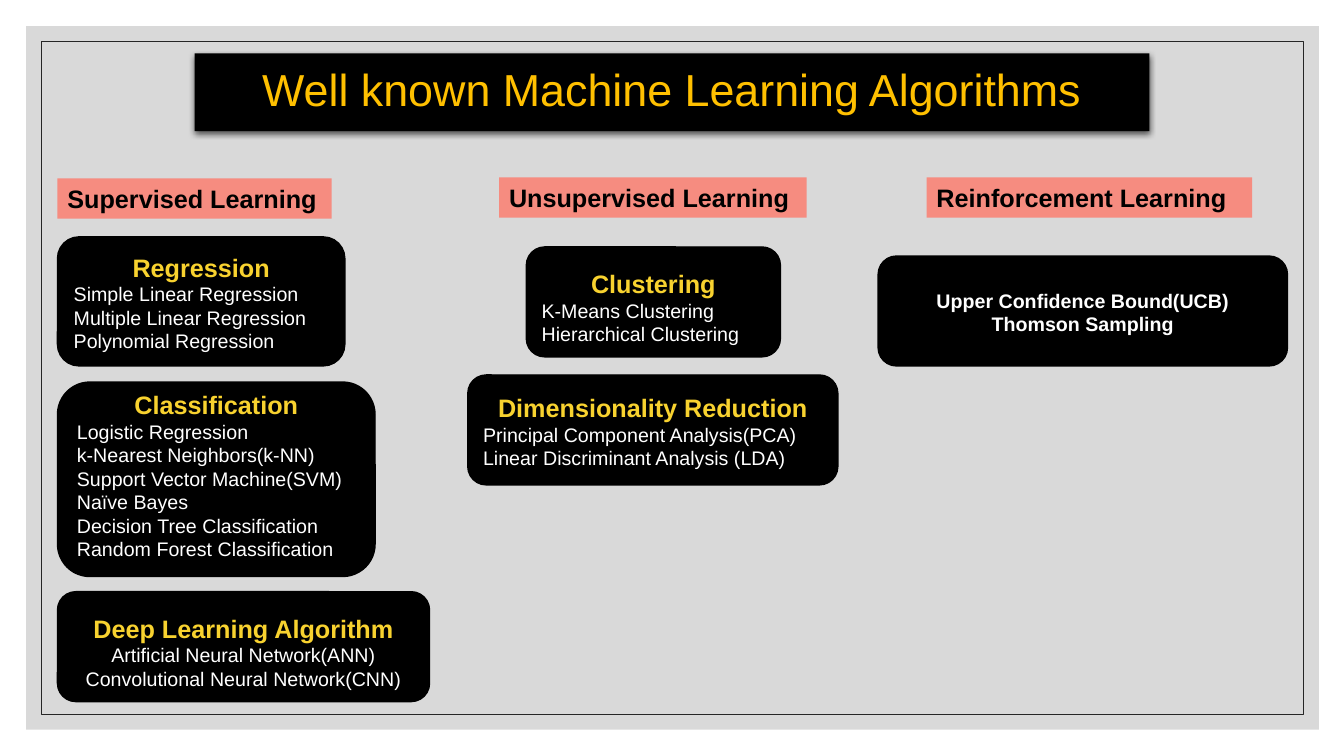
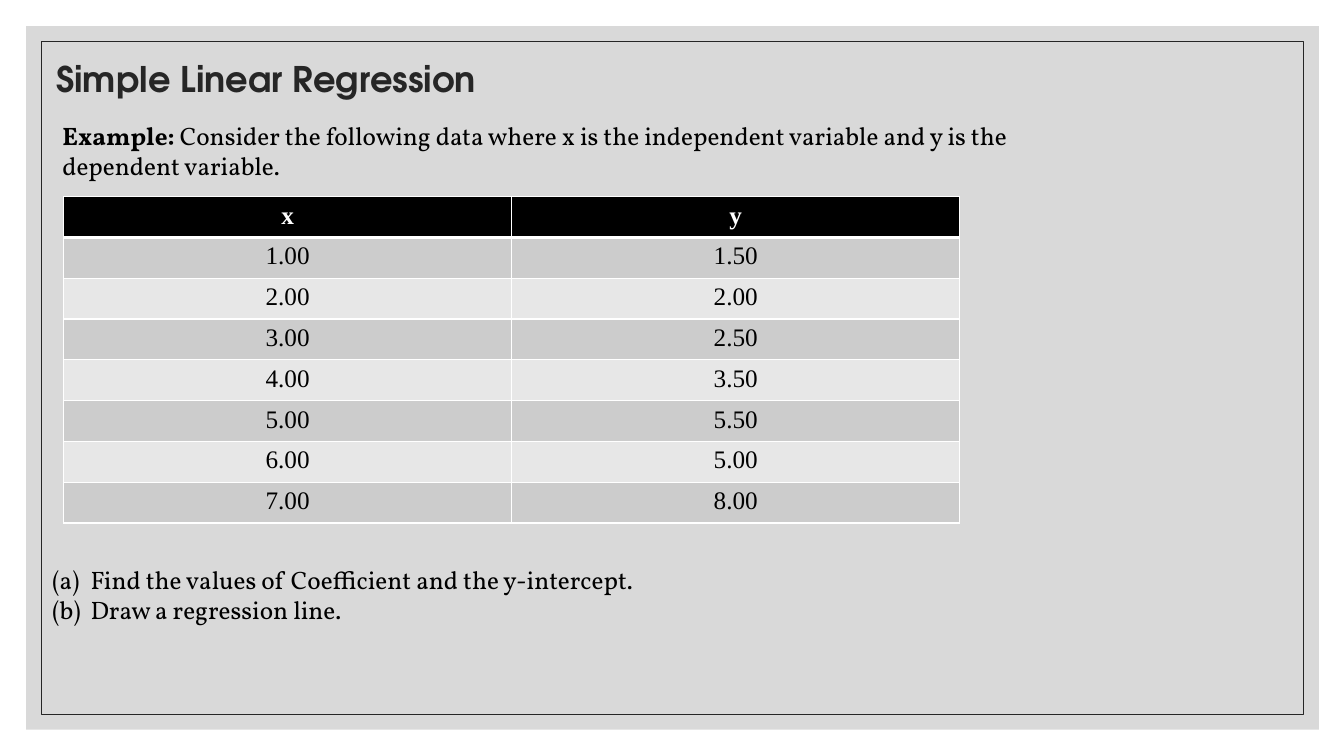
import lxml.etree
import pptx
import pptx.dml.color
import pptx.enum.shapes
import pptx.enum.text
import pptx.oxml.ns
import pptx.util

Inches = pptx.util.Inches
Pt = pptx.util.Pt
RGBColor = pptx.dml.color.RGBColor
Align = pptx.enum.text.PP_ALIGN
Anchor = pptx.enum.text.MSO_ANCHOR
Preset = pptx.enum.shapes.MSO_SHAPE
qn = pptx.oxml.ns.qn

BLACK = RGBColor(0x00, 0x00, 0x00)
WHITE = RGBColor(0xFF, 0xFF, 0xFF)
INK = RGBColor(0x26, 0x26, 0x26)
PANEL = RGBColor(0xD9, 0xD9, 0xD9)
AMBER = RGBColor(0xFF, 0xC0, 0x00)
YELLOW = RGBColor(0xF8, 0xD2, 0x2F)
CORAL = RGBColor(0xF6, 0x8C, 0x80)
ROW_DARK = RGBColor(0xCC, 0xCC, 0xCC)
ROW_LIGHT = RGBColor(0xE7, 0xE7, 0xE7)

SANS = "Arial"
DISPLAY = "TeX Gyre Adventor"
BODY = "Vollkorn"
TABLE = "Times New Roman"


def add_child(parent, tag, **attributes):
    values = {name: str(value) for name, value in attributes.items()}
    return lxml.etree.SubElement(parent, qn(tag), values)


def add_span(para, text, font=SANS, size=18, color=BLACK, bold=False, align=Align.LEFT):
    para.alignment = align
    span = para.add_run()
    span.text = text
    span.font.name = font
    span.font.size = Pt(size)
    span.font.bold = bold
    span.font.color.rgb = color


class Deck:
    def __init__(self):
        self.deck = pptx.Presentation()
        self.deck.slide_width = Inches(13.33)
        self.deck.slide_height = Inches(7.5)
        self.page = None

    def add_page(self):
        self.page = self.deck.slides.add_slide(self.deck.slide_layouts[5])
        self.add_box(0.26, 0.26, 12.82, 6.98, fill=PANEL)
        self.add_box(0.41, 0.41, 12.52, 6.68, line=INK, weight=0.5)

    def add_box(self, left, top, width, height, preset=Preset.RECTANGLE,
                fill=None, line=None, weight=1):
        box = self.page.shapes.add_shape(
            preset, Inches(left), Inches(top), Inches(width), Inches(height))
        box.shadow.inherit = False
        if fill is None:
            box.fill.background()
        else:
            box.fill.solid()
            box.fill.fore_color.rgb = fill
        if line is None:
            box.line.fill.background()
        else:
            box.line.color.rgb = line
            box.line.width = Pt(weight)
        box.text_frame.word_wrap = True
        return box

    def add_title(self, text, left, top, width, height, fill=None, **style):
        title = self.page.shapes.title
        title.element.getparent().append(title.element)
        title.left, title.top = Inches(left), Inches(top)
        title.width, title.height = Inches(width), Inches(height)
        frame = title.text_frame
        frame.auto_size = pptx.enum.text.MSO_AUTO_SIZE.NONE
        frame.word_wrap = False
        frame.vertical_anchor = Anchor.MIDDLE
        para = frame.paragraphs[0]
        para.line_spacing = 0.9
        add_span(para, text, align=Align.CENTER, **style)
        if fill is not None:
            title.fill.solid()
            title.fill.fore_color.rgb = fill
            self.cast_shadow(title)

    def cast_shadow(self, shape):
        shape.shadow.inherit = False
        effects = shape.element.spPr.find(qn("a:effectLst"))
        shadow = add_child(effects, "a:outerShdw", blurRad=Pt(4.5), dist=Pt(1.5),
                           dir=90 * 60000, algn="t", rotWithShape=0)
        color = add_child(shadow, "a:srgbClr", val=BLACK)
        add_child(color, "a:alpha", val=63000)

    def add_label(self, text, left, top, width):
        box = self.add_box(left, top, width, 0.4, fill=CORAL)
        box.text_frame.vertical_anchor = Anchor.TOP
        add_span(box.text_frame.paragraphs[0], text, bold=True)

    def add_card(self, heading, items, left, top, width, height,
                 drop=0.01, align=Align.LEFT, bold=False):
        box = self.add_box(left, top, width, height, Preset.ROUNDED_RECTANGLE,
                           fill=BLACK, line=BLACK)
        frame = box.text_frame
        frame.vertical_anchor = Anchor.MIDDLE
        frame.margin_top = Inches(0.05 + max(0, 2 * drop))
        frame.margin_bottom = Inches(0.05 + max(0, -2 * drop))
        lines = [(item, dict(size=14, color=WHITE, bold=bold, align=align)) for item in items]
        if heading:
            lines.insert(0, (heading, dict(color=YELLOW, bold=True, align=Align.CENTER)))
        for index, (text, style) in enumerate(lines):
            para = frame.add_paragraph() if index else frame.paragraphs[0]
            add_span(para, text, **style)

    def add_text(self, paragraphs, left, top, width, height, numbered=False):
        box = self.page.shapes.add_textbox(
            Inches(left), Inches(top), Inches(width), Inches(height))
        frame = box.text_frame
        frame.word_wrap = True
        for index, spans in enumerate(paragraphs):
            para = frame.add_paragraph() if index else frame.paragraphs[0]
            for text, bold in spans:
                add_span(para, text, font=BODY, bold=bold)
            if numbered:
                properties = para._p.get_or_add_pPr()
                properties.set("marL", str(Inches(0.38)))
                properties.set("indent", str(-Inches(0.38)))
                add_child(properties, "a:buAutoNum", type="alphaLcParenBoth")

    def add_table(self, rows, left, top, width, height):
        table = self.page.shapes.add_table(
            len(rows), len(rows[0]), Inches(left), Inches(top),
            Inches(width), Inches(height)).table
        for row, values in enumerate(rows):
            header = row == 0
            fill = BLACK if header else ROW_DARK if row % 2 else ROW_LIGHT
            for column, text in enumerate(values):
                cell = table.cell(row, column)
                self.add_borders(cell, top=3 if row == 1 else 1, bottom=3 if header else 1)
                cell.fill.solid()
                cell.fill.fore_color.rgb = fill
                add_span(cell.text_frame.paragraphs[0], text, font=TABLE, bold=header,
                         color=WHITE if header else BLACK, align=Align.CENTER)

    def add_borders(self, cell, top, bottom):
        properties = cell._tc.get_or_add_tcPr()
        for side, weight in (("L", 1), ("R", 1), ("T", top), ("B", bottom)):
            border = add_child(properties, "a:ln" + side, w=Pt(weight))
            add_child(add_child(border, "a:solidFill"), "a:srgbClr", val=WHITE)


def build_algorithms(deck):
    deck.add_page()
    deck.add_title("Well known Machine Learning Algorithms", 1.93, 0.53, 9.47, 0.77,
                   fill=BLACK, size=32, color=AMBER)
    deck.add_label("Supervised Learning", 0.57, 1.77, 2.72)
    deck.add_label("Unsupervised Learning", 4.95, 1.76, 3.05)
    deck.add_label("Reinforcement Learning", 9.19, 1.76, 3.23)
    deck.add_card("Regression",
                  ["Simple Linear Regression", "Multiple Linear Regression",
                   "Polynomial Regression"],
                  0.57, 2.35, 2.85, 1.28)
    deck.add_card("Classification",
                  ["Logistic Regression", "k-Nearest Neighbors(k-NN)",
                   "Support Vector Machine(SVM)", "Naïve Bayes",
                   "Decision Tree Classification", "Random Forest Classification"],
                  0.57, 3.79, 3.15, 1.93, drop=-0.04)
    deck.add_card("Deep Learning Algorithm",
                  ["Artificial Neural Network(ANN)", "Convolutional Neural Network(CNN)"],
                  0.57, 5.87, 3.69, 1.09, drop=0.05, align=Align.CENTER)
    deck.add_card("Clustering", ["K-Means Clustering", "Hierarchical Clustering"],
                  5.22, 2.45, 2.52, 1.09, drop=0.05)
    deck.add_card("Dimensionality Reduction",
                  ["Principal Component Analysis(PCA)", "Linear Discriminant Analysis (LDA)"],
                  4.64, 3.72, 3.67, 1.09)
    deck.add_card(None, ["Upper Confidence Bound(UCB)", "Thomson Sampling"],
                  8.71, 2.54, 4.06, 1.09, align=Align.CENTER, bold=True)


def build_regression(deck):
    deck.add_page()
    deck.add_title("Simple Linear Regression", 0.42, 0.43, 4.44, 0.75,
                   font=DISPLAY, size=25.2, color=INK, bold=True)
    deck.add_text([[("Example: ", True),
                    ("Consider the following data where x is the independent variable "
                     "and y is the dependent variable.", False)]],
                  0.52, 1.14, 10.54, 0.71)
    outcomes = [1.5, 2, 2.5, 3.5, 5.5, 5, 8]
    rows = [(f"{x:.2f}", f"{y:.2f}") for x, y in enumerate(outcomes, start=1)]
    deck.add_table([("x", "y")] + rows, 0.63, 1.95, 8.89, 3.24)
    deck.add_text([[("Find the values of Coefficient and the y-intercept.", False)],
                   [("Draw a regression line.", False)]],
                  0.42, 5.55, 6.39, 0.71, numbered=True)


def main():
    deck = Deck()
    build_algorithms(deck)
    build_regression(deck)
    deck.deck.save("out.pptx")


if __name__ == "__main__":
    main()
